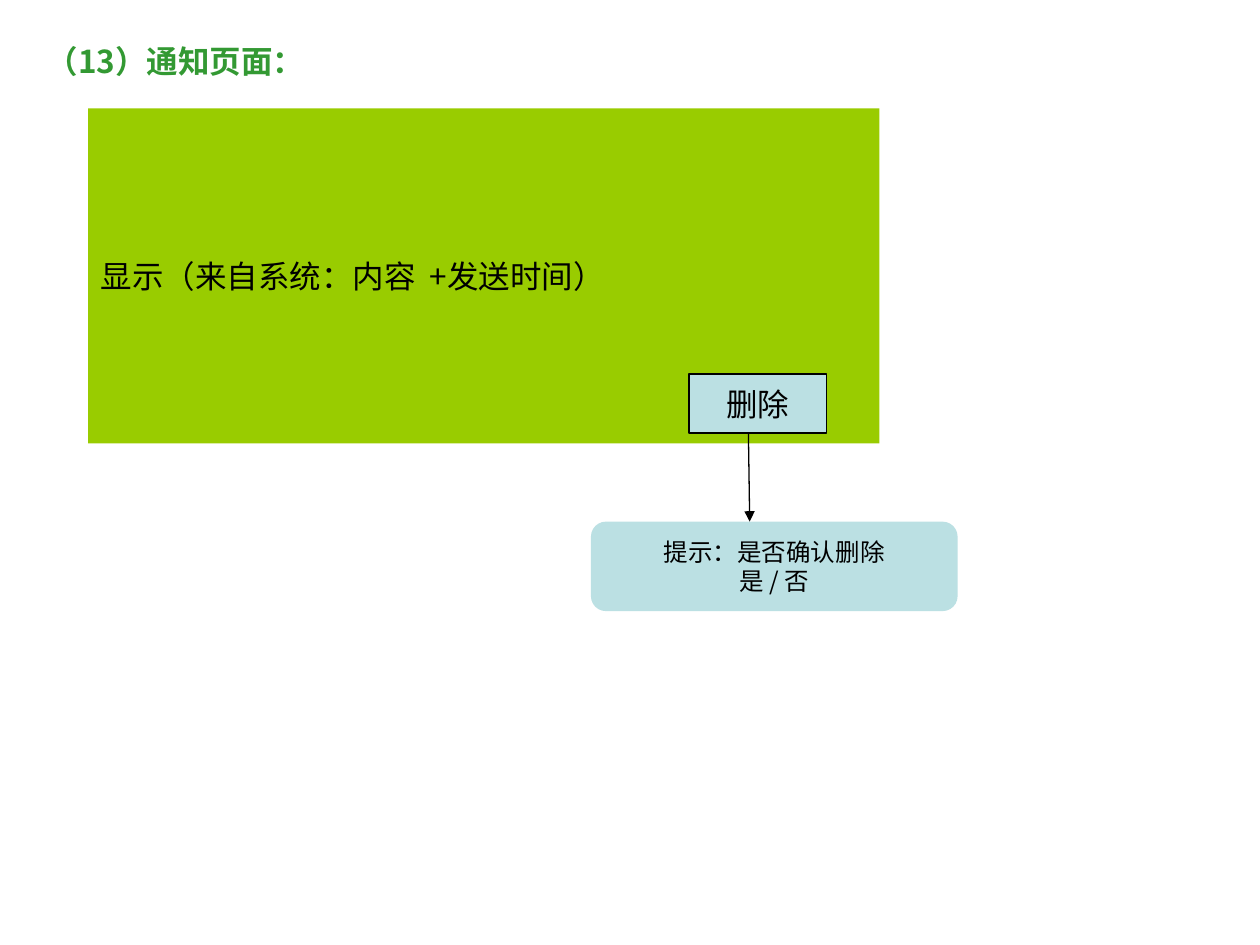
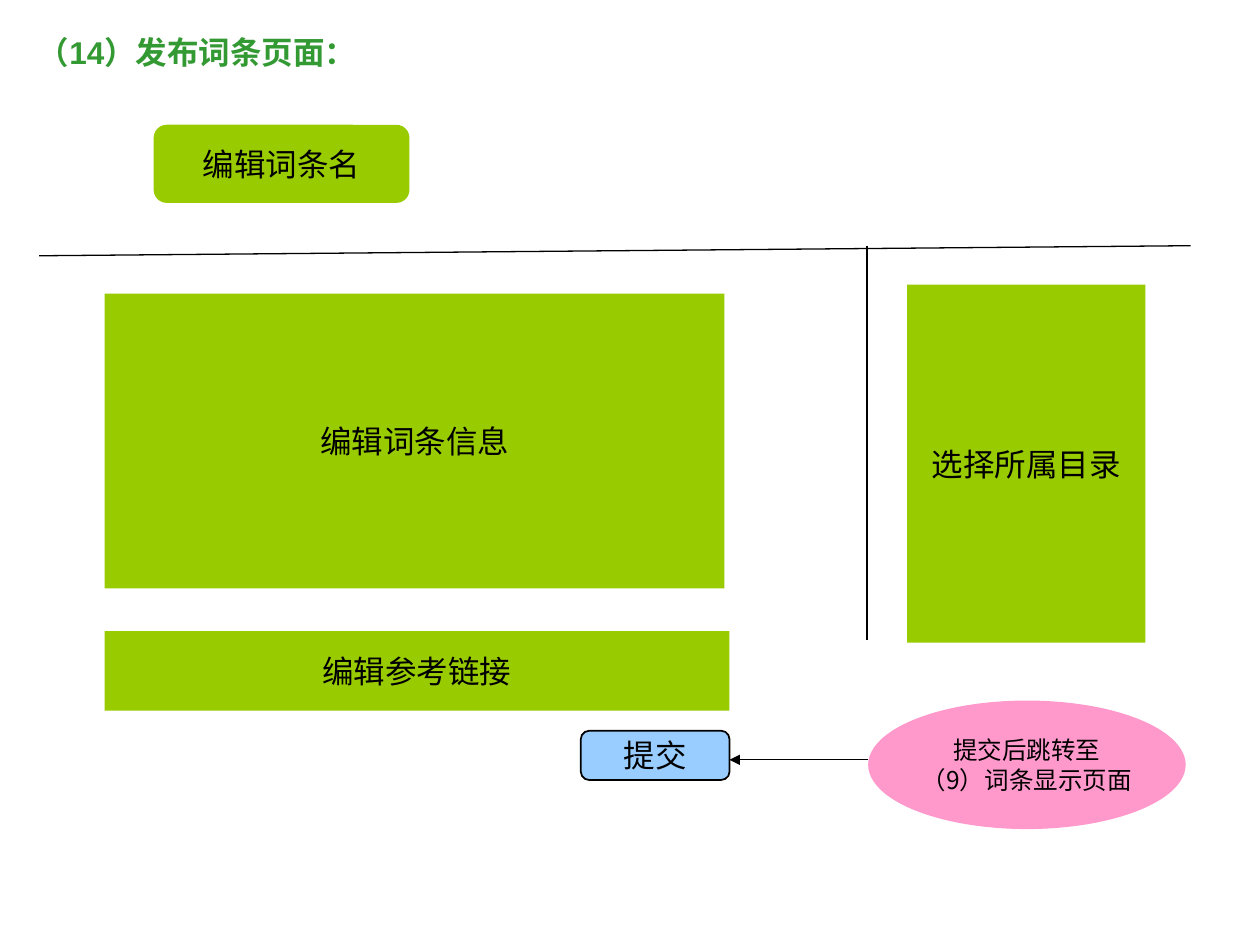
from pptx import Presentation
from pptx.dml.color import RGBColor
from pptx.enum.shapes import MSO_CONNECTOR, MSO_SHAPE
from pptx.enum.text import MSO_ANCHOR, MSO_AUTO_SIZE, PP_ALIGN
from pptx.oxml.ns import qn
from pptx.util import Inches, Pt
from lxml.etree import SubElement

HUES = {"title": "339933", "lime": "99CC00", "pale": "BBE0E3",
        "blue": "99CCFF", "pink": "FF99CC", "ink": "000000"}
CJK, LATIN = "Noto Sans CJK SC", "Arial"
WIDE, HIGH = Inches(10), Inches(7.5)
COLS, ROWS = 100, 75
FORMS = {"rect": MSO_SHAPE.RECTANGLE, "round": MSO_SHAPE.ROUNDED_RECTANGLE,
         "oval": MSO_SHAPE.OVAL}
BIG = {"size": Pt(18), "name": LATIN, "bold": False}
BIGCJK = {**BIG, "name": CJK}
SMALL = {**BIGCJK, "size": Pt(14)}
HEAD = {**BIG, "bold": True}
MID = {"word_wrap": True, "vertical_anchor": MSO_ANCHOR.MIDDLE}
LOOSE = {**MID, "word_wrap": False}
TOP = {"word_wrap": True, "vertical_anchor": MSO_ANCHOR.TOP,
       "auto_size": MSO_AUTO_SIZE.SHAPE_TO_FIT_TEXT}
INSET = {"margin_left": Inches(0.1), "margin_right": Inches(0.1),
         "margin_top": Inches(0.05), "margin_bottom": Inches(0.05)}
LEFT, MIDST = PP_ALIGN.LEFT, PP_ALIGN.CENTER

PAGES = [
    {"title": ("（13）通知页面：", (2.7, 2.8, 23.7, 4), CJK),
     "boxes": [
         ("rect", "lime", False, (7, 8.6, 62.8, 26.6),
          ["显示（来自系统：内容  +发送时间）"], BIGCJK, MID, LEFT),
         ("rect", "pale", True, (54.7, 29.7, 10.9, 4.7),
          ["删除"], BIG, MID, MIDST),
         ("round", "pale", False, (46.9, 41.4, 29.1, 7.1),
          ["提示：是否确认删除", "是 / 否"], SMALL, MID, MIDST)],
     "lines": [((59.4, 34.4), (59.5, 41.4), True)]},
    {"title": ("（14）发布词条页面：", (2, 2.1, 27.6, 4), LATIN),
     "boxes": [
         ("round", "lime", False, (12.2, 9.9, 20.3, 6.2),
          ["编辑词条名"], BIG, MID, MIDST),
         ("rect", "lime", False, (72, 22.6, 18.9, 28.4),
          ["选择所属目录"], BIG, MID, MIDST),
         ("rect", "lime", False, (8.3, 23.3, 49.2, 23.4),
          ["编辑词条信息"], BIG, MID, MIDST),
         ("rect", "lime", False, (8.3, 50.1, 49.6, 6.3),
          ["编辑参考链接"], BIG, MID, MIDST),
         ("round", "blue", True, (46.1, 58, 11.8, 3.9),
          ["提交"], BIG, MID, MIDST),
         ("oval", "pink", False, (68.9, 55.6, 25.2, 10.2),
          ["提交后跳转至", "（9）词条显示页面"], SMALL, LOOSE, MIDST)],
     "lines": [((3.1, 20.3), (94.5, 19.5), False),
               ((68.8, 19.5), (68.8, 50.8), False),
               ((68.9, 60.3), (57.9, 60.3), True)]},
]


def hue(key):
    return RGBColor.from_string(HUES[key])


def spot(col, row):
    return round(WIDE * col / COLS), round(HIGH * row / ROWS)


def style(item, looks):
    for key, value in looks.items():
        setattr(item, key, value)


def write(shape, texts, font, frame, align, tint):
    body = shape.text_frame
    body.text = "\n".join(texts)
    style(body, {**INSET, **frame})
    for para in body.paragraphs:
        para.alignment = align
        for run in para.runs:
            style(run.font, font)
            run.font.color.rgb = hue(tint)
            SubElement(run.font._element, qn("a:ea"), typeface=CJK)


def head(slide, text, area, face):
    title = slide.shapes.title
    left, top = spot(*area[:2])
    width, height = spot(*area[2:])
    style(title, {"left": left, "top": top, "width": width, "height": height})
    write(title, [text], {**HEAD, "name": face}, TOP, LEFT, "title")


def box(slide, form, fill, edge, area, texts, font, frame, align):
    shape = slide.shapes.add_shape(FORMS[form], *spot(*area[:2]), *spot(*area[2:]))
    shape.shadow.inherit = False
    shape.fill.solid()
    shape.fill.fore_color.rgb = hue(fill)
    if edge:
        shape.line.color.rgb = hue("ink")
        shape.line.width = Pt(1)
    else:
        shape.line.fill.background()
    write(shape, texts, font, frame, align, "ink")


def link(slide, start, end, arrow):
    line = slide.shapes.add_connector(MSO_CONNECTOR.STRAIGHT, *spot(*start), *spot(*end))
    line.line.color.rgb = hue("ink")
    line.line.width = Pt(0.75)
    if arrow:
        SubElement(line.line._get_or_add_ln(), qn("a:tailEnd"), type="triangle")
    SubElement(line._element.spPr, qn("a:effectLst"))


deck = Presentation()
style(deck, {"slide_width": WIDE, "slide_height": HIGH})
for page in PAGES:
    slide = deck.slides.add_slide(deck.slide_layouts[5])
    head(slide, *page["title"])
    for part in page["boxes"]:
        box(slide, *part)
    for part in page["lines"]:
        link(slide, *part)
deck.save("out.pptx")
